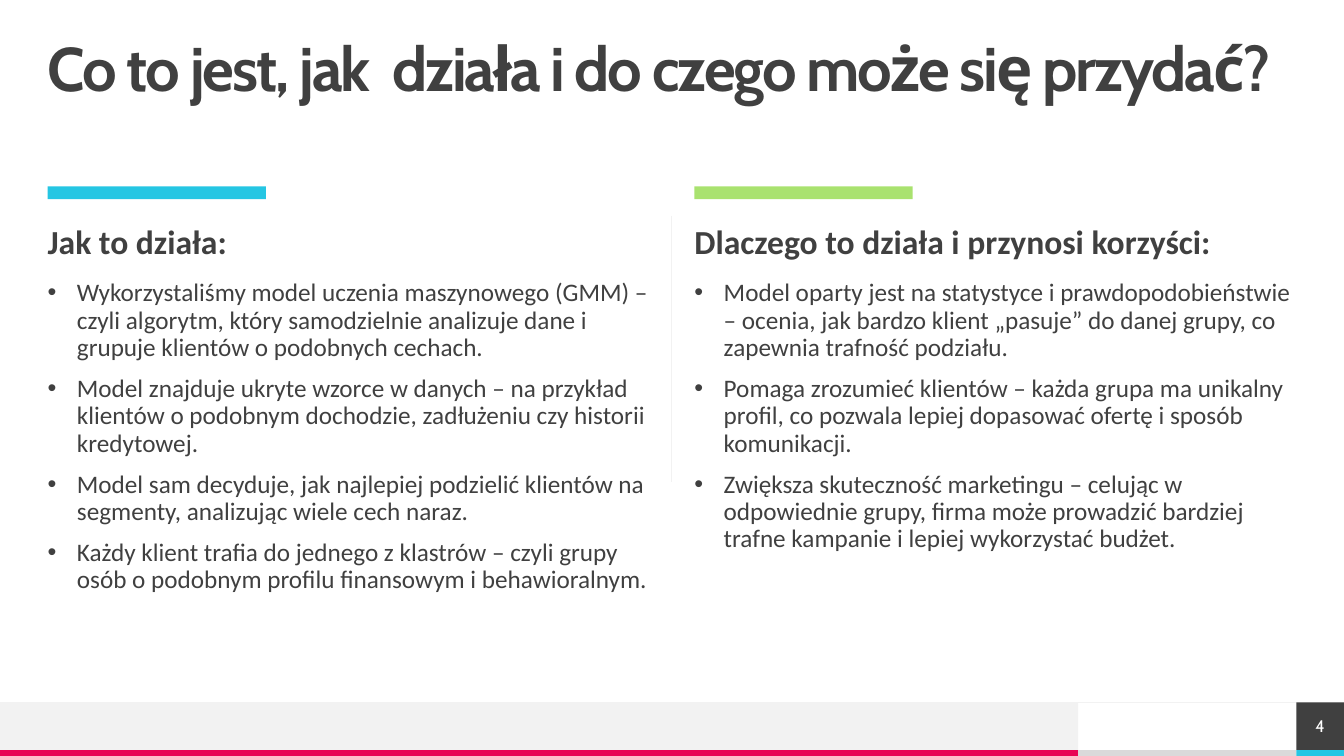
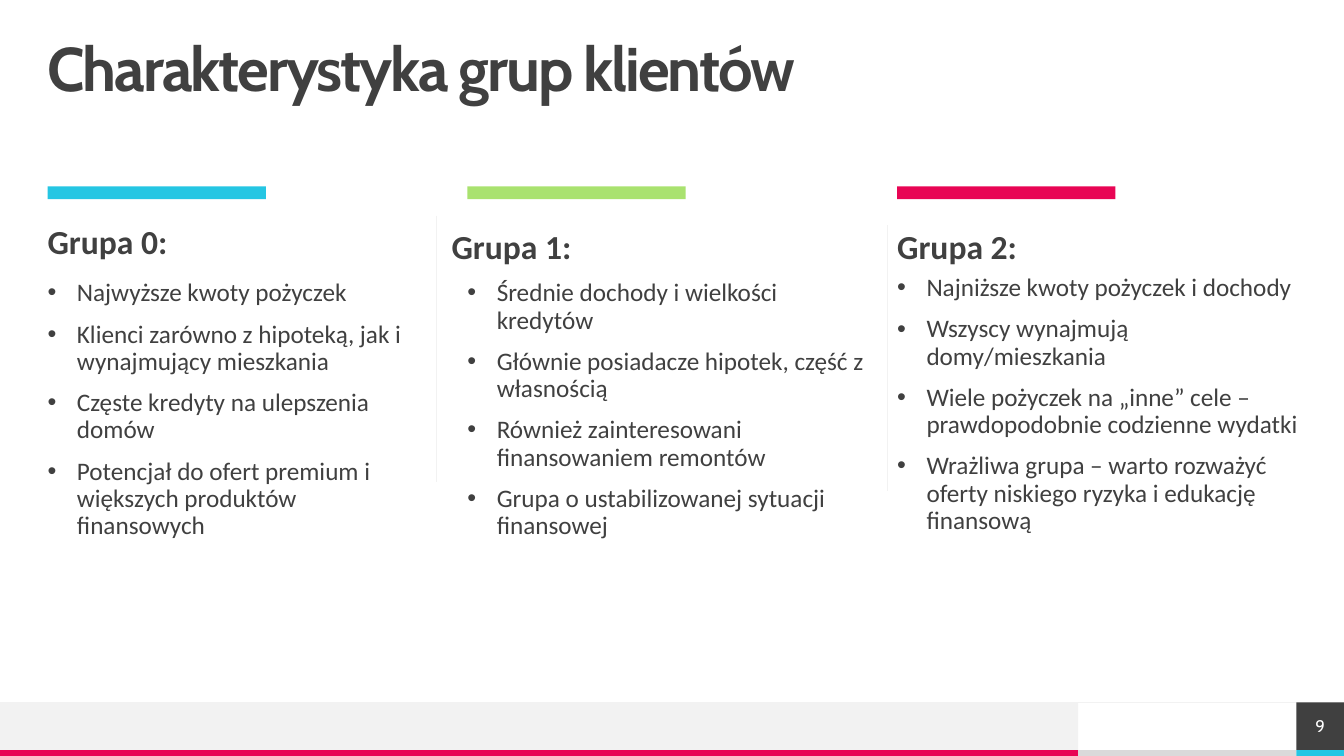
from dataclasses import dataclass

from lxml.etree import SubElement
from pptx import Presentation
from pptx.dml.color import RGBColor
from pptx.enum.shapes import MSO_CONNECTOR as Connector, MSO_SHAPE as Preset
from pptx.enum.text import MSO_ANCHOR as Anchor, PP_ALIGN as Align
from pptx.oxml.ns import qn
from pptx.shapes.autoshape import Shape
from pptx.slide import Slide
from pptx.util import Cm, Pt


@dataclass(frozen=True)
class Theme:
    dark: str = "404040"
    white: str = "FFFFFF"
    pale: str = "F2F2F2"
    grey: str = "DADADA"
    blue: str = "25C6E3"
    green: str = "A9E26F"
    pink: str = "E80554"
    title_font: str = "Cabin"
    body_font: str = "Calibri"
    title_size: int = 44
    heading_size: int = 24
    body_size: int = 18
    number_size: int = 12
    hairline: float = 0.5


@dataclass(frozen=True)
class Column:
    left: float
    width: float
    color: str
    heading: str
    bullets: tuple[str, ...]
    heading_left: float | None = None
    heading_top: float = 5.67
    bullets_top: float = 7.06


@dataclass(frozen=True)
class Divider:
    left: float
    top: float = 5.44


@dataclass(frozen=True)
class Page:
    title: str
    number: int
    columns: tuple[Column, ...]
    dividers: tuple[Divider, ...]


THEME = Theme()
SLIDE_WIDTH, SLIDE_HEIGHT = 33.87, 19.05
MARGIN = 1.2
BAR_WIDTH, BAR_HEIGHT, BAR_TOP = 5.5, 0.32, 4.7
DIVIDER_HEIGHT = 6.7
BULLET_INDENT = 0.74
STRIPE_HEIGHT = 0.15
STRIPE_TOP = SLIDE_HEIGHT - STRIPE_HEIGHT
FOOTER_HEIGHT = 1.2
FOOTER_TOP = STRIPE_TOP - FOOTER_HEIGHT
NUMBER_LEFT = SLIDE_WIDTH - FOOTER_HEIGHT
LOGO_LEFT = NUMBER_LEFT - BAR_WIDTH

PAGES = (
    Page(
        "Co to jest, jak  działa i do czego może się przydać?",
        4,
        (
            Column(MARGIN, 15.2, THEME.blue, "Jak to działa:", (
                "Wykorzystaliśmy model uczenia maszynowego (GMM) – czyli algorytm, "
                "który samodzielnie analizuje dane i grupuje klientów o podobnych cechach.",
                "Model znajduje ukryte wzorce w danych – na przykład klientów "
                "o podobnym dochodzie, zadłużeniu czy historii kredytowej.",
                "Model sam decyduje, jak najlepiej podzielić klientów na segmenty, "
                "analizując wiele cech naraz.",
                "Każdy klient trafia do jednego z klastrów – czyli grupy osób "
                "o podobnym profilu finansowym i behawioralnym.",
            )),
            Column(17.5, 15.2, THEME.green, "Dlaczego to działa i przynosi korzyści:", (
                "Model oparty jest na statystyce i prawdopodobieństwie – ocenia, "
                "jak bardzo klient „pasuje” do danej grupy, co zapewnia trafność podziału.",
                "Pomaga zrozumieć klientów – każda grupa ma unikalny profil, "
                "co pozwala lepiej dopasować ofertę i sposób komunikacji.",
                "Zwiększa skuteczność marketingu – celując w odpowiednie grupy, firma "
                "może prowadzić bardziej trafne kampanie i lepiej wykorzystać budżet.",
            )),
        ),
        (Divider(16.93),),
    ),
    Page(
        "Charakterystyka grup klientów",
        9,
        (
            Column(MARGIN, 9.45, THEME.blue, "Grupa 0:", (
                "Najwyższe kwoty pożyczek",
                "Klienci zarówno z hipoteką, jak i wynajmujący mieszkania",
                "Częste kredyty na ulepszenia domów",
                "Potencjał do ofert premium i większych produktów finansowych",
            )),
            Column(11.78, 10.24, THEME.green, "Grupa 1:", (
                "Średnie dochody i wielkości kredytów",
                "Głównie posiadacze hipotek, część z własnością",
                "Również zainteresowani finansowaniem remontów",
                "Grupa o ustabilizowanej sytuacji finansowej",
            ), heading_left=11.38, heading_top=5.8),
            Column(22.61, 10.24, THEME.pink, "Grupa 2:", (
                "Najniższe kwoty pożyczek i dochody",
                "Wszyscy wynajmują domy/mieszkania",
                "Wiele pożyczek na „inne” cele – prawdopodobnie codzienne wydatki",
                "Wrażliwa grupa – warto rozważyć oferty niskiego ryzyka i edukację finansową",
            ), heading_top=5.8, bullets_top=6.93),
        ),
        (Divider(11), Divider(22.35, 5.67)),
    ),
)


def write_text(
    shape: Shape,
    *paragraphs: str,
    size: float,
    font: str = THEME.body_font,
    color: str = THEME.dark,
    bold: bool = False,
    align: Align = Align.LEFT,
    anchor: Anchor = Anchor.TOP,
    line_spacing: float = 0.9,
    tracking: float = 0,
    bulleted: bool = False,
) -> None:
    frame = shape.text_frame
    frame.word_wrap = True
    frame.vertical_anchor = anchor
    frame.margin_left = frame.margin_top = frame.margin_right = frame.margin_bottom = 0
    for index, text in enumerate(paragraphs):
        paragraph = frame.add_paragraph() if index else frame.paragraphs[0]
        if bulleted:
            add_bullet(paragraph)
        paragraph.alignment = align
        paragraph.line_spacing = line_spacing
        paragraph.space_before = Pt(10 if index else 0)
        run = paragraph.add_run()
        run.text = text
        run.font.name = font
        run.font.size = Pt(size)
        run.font.bold = bold
        run.font.color.rgb = RGBColor.from_string(color)
        if tracking:
            run.font._element.set("spc", str(round(tracking * 100)))


def add_bullet(paragraph) -> None:
    properties = paragraph._p.get_or_add_pPr()
    properties.set("marL", str(Cm(BULLET_INDENT)))
    properties.set("indent", str(-Cm(BULLET_INDENT)))
    SubElement(properties, qn("a:buFont"), typeface="Arial")
    SubElement(properties, qn("a:buChar"), char="•")


def add_text_box(slide: Slide, left: float, top: float, width: float, height: float) -> Shape:
    return slide.shapes.add_textbox(Cm(left), Cm(top), Cm(width), Cm(height))


def add_rectangle(
    slide: Slide, left: float, top: float, width: float, height: float, color: str
) -> Shape:
    shape = slide.shapes.add_shape(Preset.RECTANGLE, Cm(left), Cm(top), Cm(width), Cm(height))
    shape.shadow.inherit = False
    shape.fill.solid()
    shape.fill.fore_color.rgb = RGBColor.from_string(color)
    shape.line.fill.background()
    return shape


def add_hairline(slide: Slide, x1: float, y1: float, x2: float, y2: float) -> None:
    line = slide.shapes.add_connector(Connector.STRAIGHT, Cm(x1), Cm(y1), Cm(x2), Cm(y2))
    line.line.color.rgb = RGBColor.from_string(THEME.pale)
    line.line.width = Pt(THEME.hairline)
    SubElement(line._element.spPr, qn("a:effectLst"))


def add_footer(slide: Slide, number: int) -> None:
    add_rectangle(slide, 0, FOOTER_TOP, LOGO_LEFT, FOOTER_HEIGHT, THEME.pale)
    for left, width, color in (
        (0, LOGO_LEFT, THEME.pink),
        (LOGO_LEFT, BAR_WIDTH, THEME.grey),
        (NUMBER_LEFT, FOOTER_HEIGHT, THEME.blue),
    ):
        add_rectangle(slide, left, STRIPE_TOP, width, STRIPE_HEIGHT, color)
    add_hairline(slide, 0, FOOTER_TOP, SLIDE_WIDTH, FOOTER_TOP)
    number_box = add_rectangle(
        slide, NUMBER_LEFT, FOOTER_TOP, FOOTER_HEIGHT, FOOTER_HEIGHT, THEME.dark
    )
    write_text(number_box, str(number), size=THEME.number_size, font=THEME.title_font,
               color=THEME.white, align=Align.CENTER, anchor=Anchor.MIDDLE, line_spacing=1.0)


def add_title(slide: Slide, title: str) -> None:
    box = add_text_box(slide, MARGIN, MARGIN, SLIDE_WIDTH - 2 * MARGIN, 1.2)
    write_text(box, title, size=THEME.title_size, font=THEME.title_font, bold=True,
               anchor=Anchor.MIDDLE, tracking=-1.5)


def add_column(slide: Slide, column: Column) -> None:
    add_rectangle(slide, column.left, BAR_TOP, BAR_WIDTH, BAR_HEIGHT, column.color)
    heading_left = column.left if column.heading_left is None else column.heading_left
    heading = add_text_box(slide, heading_left, column.heading_top, column.width, 1)
    write_text(heading, column.heading, size=THEME.heading_size, bold=True)
    body = add_text_box(slide, column.left, column.bullets_top, column.width, 6.1)
    write_text(body, *column.bullets, size=THEME.body_size, bulleted=True)


def add_page(presentation, page: Page) -> None:
    slide = presentation.slides.add_slide(presentation.slide_layouts[6])
    add_footer(slide, page.number)
    add_title(slide, page.title)
    for column in page.columns:
        add_column(slide, column)
    for divider in page.dividers:
        add_hairline(slide, divider.left, divider.top,
                     divider.left, divider.top + DIVIDER_HEIGHT)


def main() -> None:
    presentation = Presentation()
    presentation.slide_width = Cm(SLIDE_WIDTH)
    presentation.slide_height = Cm(SLIDE_HEIGHT)
    for page in PAGES:
        add_page(presentation, page)
    presentation.save("out.pptx")


if __name__ == "__main__":
    main()
